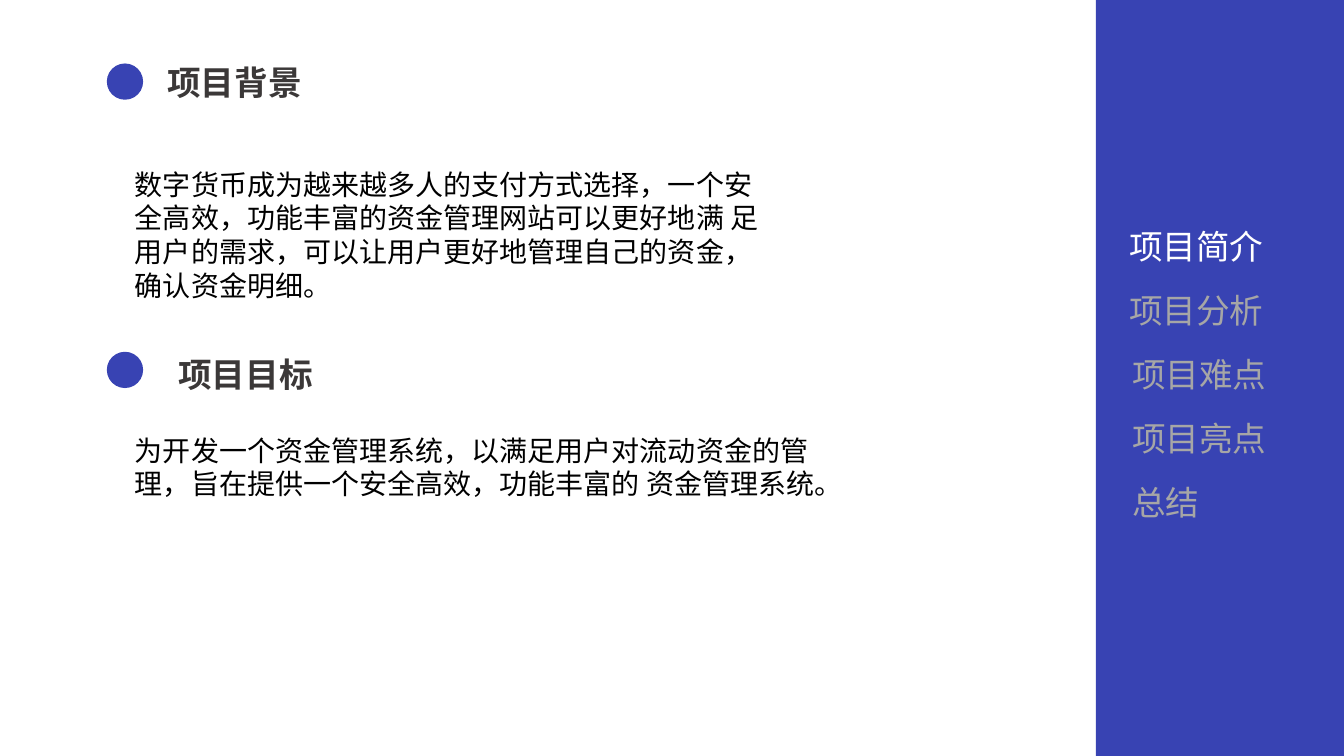
from lxml.etree import SubElement
from pptx import Presentation
from pptx.dml.color import RGBColor
from pptx.enum.shapes import MSO_SHAPE as SHAPE
from pptx.enum.text import MSO_ANCHOR as ANCHOR, MSO_AUTO_SIZE as AUTO_SIZE, PP_ALIGN as ALIGN
from pptx.oxml.ns import qn
from pptx.util import Inches, Pt

FONT = "Noto Sans CJK SC"
BLUE, DARK, BLACK, WHITE, GREY = "3843B3", "3B3838", "000000", "FFFFFF", "A6A6A6"

deck = Presentation()
deck.slide_width, deck.slide_height = Inches(13.33), Inches(7.5)
page = deck.slides.add_slide(deck.slide_layouts.get_by_name("Title Only"))


def write(text, left, top, width, height, box=None, size=24, color=BLACK, bold=False):
    """Place one paragraph in a new text box, or in the given placeholder."""
    place = [Inches(length) for length in (left, top, width, height)]
    if box is None:
        box = page.shapes.add_textbox(*place)
    else:
        box.left, box.top, box.width, box.height = place
    frame = box.text_frame
    frame.word_wrap = True
    frame.auto_size = AUTO_SIZE.SHAPE_TO_FIT_TEXT
    frame.vertical_anchor = ANCHOR.TOP
    para = frame.paragraphs[0]
    para.alignment = ALIGN.LEFT
    para.space_before = Pt(0)
    para.line_spacing = Pt(size * 1.2)
    span = para.add_run()
    span.text = text
    span.font.name = FONT
    span.font.size = Pt(size)
    span.font.bold = bold
    span.font.color.rgb = RGBColor.from_string(color)
    SubElement(span.font._element, qn("a:ea"), typeface=FONT)


def add_blue(kind, left, top, width, height):
    shape = page.shapes.add_shape(kind, *[Inches(n) for n in (left, top, width, height)])
    shape.shadow.inherit = False
    shape.fill.solid()
    shape.fill.fore_color.rgb = RGBColor.from_string(BLUE)
    shape.line.fill.background()


# Sidebar with the current chapter highlighted
add_blue(SHAPE.RECTANGLE, 10.87, 0, 2.46, 7.5)
chapters = ["项目简介", "项目分析", "项目难点", "项目亮点", "总结"]
for row, chapter in enumerate(chapters):
    write(chapter, 11.1 if row < 2 else 11.13, 2.19 + row * 0.635, 1.95, 0.5,
          color=WHITE if row == 0 else GREY)

# Two sections, each a dot, a heading and a paragraph
add_blue(SHAPE.OVAL, 1.06, 0.63, 0.36, 0.36)
write("项目背景", 1.56, 0.56, 2.91, 0.5, box=page.shapes.title, color=DARK, bold=True)
write("数字货币成为越来越多人的支付方式选择，一个安全高效，功能丰富的资金管理网站可以更好地满 足用户的需求，"
      "可以让用户更好地管理自己的资金，确认资金明细。", 1.24, 1.61, 6.41, 1.45, size=20)

add_blue(SHAPE.OVAL, 1.06, 3.49, 0.36, 0.36)
write("项目目标", 1.67, 3.46, 2.91, 0.5, color=DARK, bold=True)
write("为开发一个资金管理系统，以满足用户对流动资金的管理，旨在提供一个安全高效，功能丰富的 资金管理系统。",
      1.24, 4.25, 6.95, 0.77, size=20)

deck.save("out.pptx")
